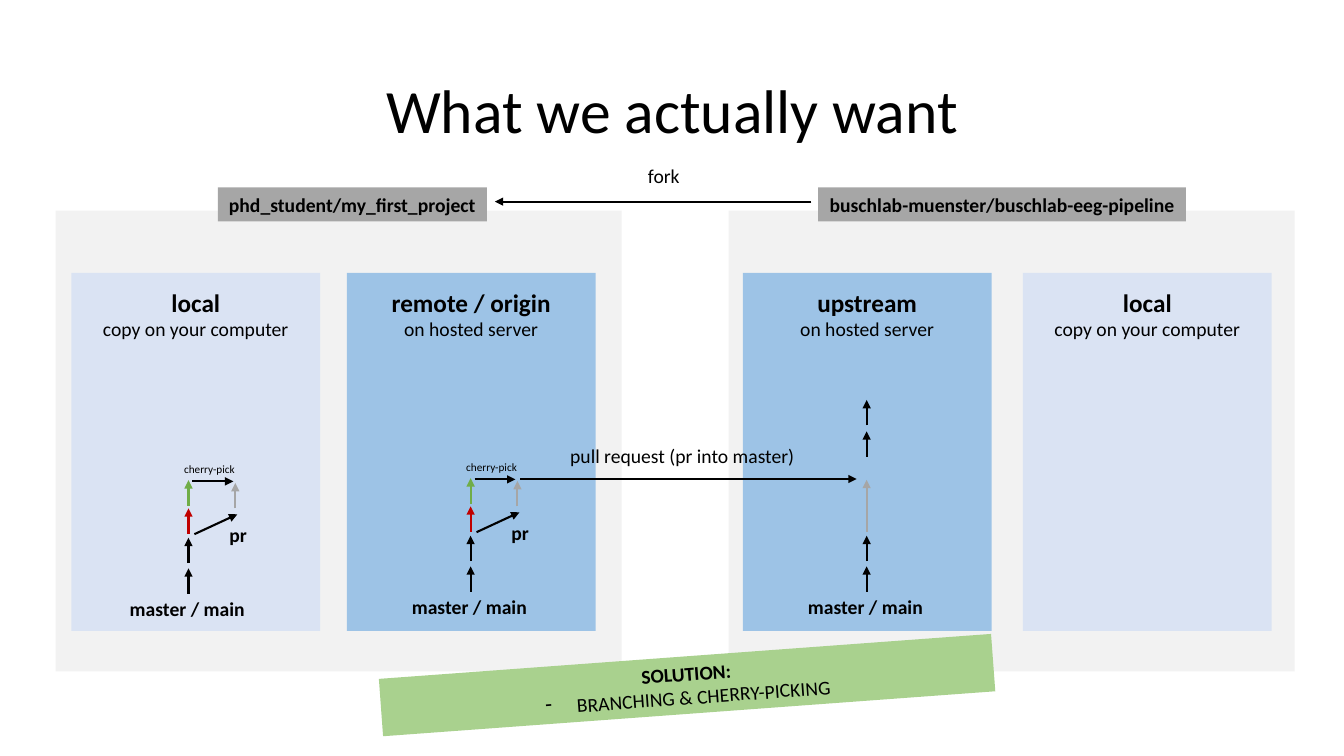
from lxml.etree import SubElement
from pptx import Presentation
from pptx.dml.color import RGBColor
from pptx.enum.shapes import MSO_CONNECTOR, MSO_SHAPE
from pptx.enum.text import MSO_ANCHOR, PP_ALIGN
from pptx.oxml.ns import qn
from pptx.util import Cm, Pt

COLORS = {
    "text": "000000", "panel": "F2F2F2", "label": "A6A6A6",
    "server": "9DC3E6", "computer": "DAE3F3", "solution": "A9D18E",
    "black": "000000", "red": "C00000", "green": "70AD47", "grey": "A6A6A6",
}
FONT = "Calibri"
STEP = 0.64  # length of one commit arrow
COMMIT_STARTS = (0, 0.77, 1.51, 2.22)  # heights above the branch base


def rgb(name):
    return RGBColor.from_string(COLORS[name])


def add_text(tf, text, size=14, bold=False, align=PP_ALIGN.LEFT,
             spacing=None, bullet=None):
    """Add one formatted paragraph to a text frame."""
    p = tf.paragraphs[0] if not tf.text else tf.add_paragraph()
    p.alignment = align
    if spacing:
        p.line_spacing = spacing
    if bullet:
        pPr = p._p.get_or_add_pPr()
        pPr.set("marL", str(Cm(0.79)))
        pPr.set("indent", str(-Cm(0.79)))
        SubElement(pPr, qn("a:buChar")).set("char", bullet)
    r = p.add_run()
    r.text = text
    r.font.name = FONT
    r.font.size = Pt(size)
    r.font.bold = bold
    r.font.color.rgb = rgb("text")


def add_box(s, x, y, w, h, fill):
    sp = s.shapes.add_shape(MSO_SHAPE.RECTANGLE, Cm(x), Cm(y), Cm(w), Cm(h))
    sp.shadow.inherit = False
    sp.fill.solid()
    sp.fill.fore_color.rgb = rgb(fill)
    sp.line.fill.background()
    return sp


def add_textbox(s, x, y, w, h, wrap=False):
    tf = s.shapes.add_textbox(Cm(x), Cm(y), Cm(w), Cm(h)).text_frame
    tf.word_wrap = wrap
    return tf


def add_arrow(s, x1, y1, x2, y2, color="black"):
    line = s.shapes.add_connector(MSO_CONNECTOR.STRAIGHT,
                                  Cm(x1), Cm(y1), Cm(x2), Cm(y2))
    line.line.color.rgb = rgb(color)
    line.line.width = Pt(1.5)
    SubElement(line.line._get_or_add_ln(), qn("a:tailEnd")).set("type", "triangle")
    SubElement(line._element.spPr, qn("a:effectLst"))


def add_project(s, x, name, name_x, name_w):
    """Grey panel with the repository name on its top edge."""
    add_box(s, x, 5.31, 14.27, 11.61, "panel")
    tf = add_box(s, name_x, 4.72, name_w, 0.86, "label").text_frame
    tf.word_wrap = False
    add_text(tf, name, bold=True, align=PP_ALIGN.CENTER)


def add_place(s, x, name, note, fill):
    """Blue column for one copy of the repository."""
    add_box(s, x, 6.88, 6.27, 9.02, fill)
    tf = add_textbox(s, x, 7.11, 6.27, 1.63)
    add_text(tf, name, size=18, bold=True, align=PP_ALIGN.CENTER)
    add_text(tf, note, align=PP_ALIGN.CENTER)


def add_commits(s, x, base, starts, colors):
    """Upward commit arrows above the name of the main branch."""
    for start, color in zip(starts, colors):
        add_arrow(s, x, base - start, x, base - start - STEP, color)
    add_text(add_textbox(s, x - 1.73, base - 0.04, 3.43, 0.86),
             "master / main", bold=True)


def add_branching(s, x, base):
    """Main branch plus a pr branch with one cherry-picked commit."""
    add_commits(s, x, base, COMMIT_STARTS, ("black", "black", "red", "green"))
    add_arrow(s, x + 0.15, base - 1.5, x + 1.23, base - 2)
    add_arrow(s, x + 0.1, base - 2.83, x + 1.13, base - 2.83)
    add_arrow(s, x + 1.18, base - 2.15, x + 1.18, base - 2.15 - STEP, "grey")
    add_text(add_textbox(s, x + 0.78, base - 1.9, 0.97, 0.86), "pr", bold=True)
    add_text(add_textbox(s, x - 0.36, base - 3.44, 1.8, 0.61),
             "cherry-pick", size=8)


def main():
    prs = Presentation()
    prs.slide_width, prs.slide_height = Cm(33.87), Cm(19.05)
    s = prs.slides.add_slide(prs.slide_layouts[6])

    # Title
    tf = add_textbox(s, 2.34, 1.02, 29.21, 3.68, wrap=True)
    tf.vertical_anchor = MSO_ANCHOR.MIDDLE
    add_text(tf, "What we actually want", size=44, align=PP_ALIGN.CENTER,
             spacing=0.9)

    # Projects and their copies
    add_project(s, 18.36, "buschlab-muenster/buschlab-eeg-pipeline", 20.62, 9.27)
    add_project(s, 1.4, "phd_student/my_first_project", 5.49, 6.78)
    for x, name, note, fill in (
        (1.8, "local", "copy on your computer", "computer"),
        (8.74, "remote / origin", "on hosted server", "server"),
        (18.72, "upstream", "on hosted server", "server"),
        (25.78, "local", "copy on your computer", "computer"),
    ):
        add_place(s, x, name, note, fill)

    # Fork
    add_arrow(s, 20.45, 5.08, 12.47, 5.08)
    add_text(add_textbox(s, 16.08, 4.01, 1.32, 0.86), "fork")

    # Commit histories
    add_branching(s, 4.75, 14.96)
    add_branching(s, 11.86, 14.91)
    add_commits(s, 21.84, 14.91, (0, 0.77, 3.4, 4.19), ("black",) * 4)

    # Pull request and the commit it merges
    add_arrow(s, 13.11, 12.07, 21.59, 12.07)
    add_arrow(s, 21.84, 13.41, 21.84, 12.09, "grey")
    add_text(add_textbox(s, 14.12, 11.05, 6.22, 0.86, wrap=True),
             "pull request (pr into master)")

    # Solution banner
    sp = add_box(s, 9.58, 16.54, 15.47, 1.45, "solution")
    sp.rotation = -4.2
    sp.text_frame.word_wrap = True
    add_text(sp.text_frame, "SOLUTION:", bold=True, align=PP_ALIGN.CENTER)
    add_text(sp.text_frame, "BRANCHING & CHERRY-PICKING",
             align=PP_ALIGN.CENTER, bullet="-")

    prs.save("out.pptx")


if __name__ == "__main__":
    main()
